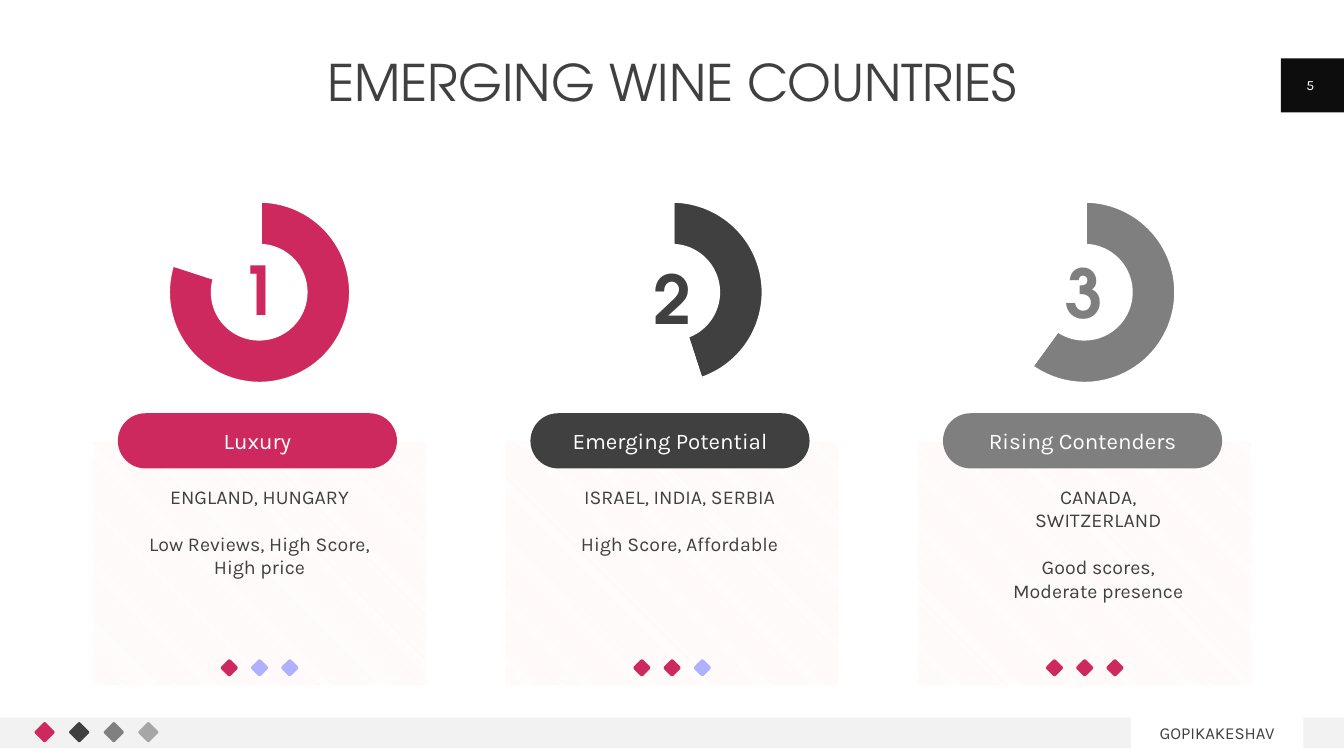
from lxml.etree import SubElement
from pptx import Presentation
from pptx.chart.data import CategoryChartData
from pptx.dml.color import RGBColor
from pptx.enum.chart import XL_CHART_TYPE
from pptx.enum.dml import MSO_PATTERN
from pptx.enum.shapes import MSO_SHAPE
from pptx.enum.text import MSO_ANCHOR, PP_ALIGN
from pptx.oxml.ns import qn
from pptx.util import Pt

BODY_FONT, HEAD_FONT = "Karla", "TeX Gyre Adventor"
CRIMSON, CHARCOAL, GRAY, LAVENDER = "CE295E", "404040", "7F7F7F", "B0B0FF"
WHITE, BAR, BLACK = "FFFFFF", "F2F2F2", "0D0D0D"


def color(value):
    """Turn a hex string into a colour."""
    return RGBColor.from_string(value)


def points(box):
    """Turn a left, top, width, height box into lengths."""
    return [Pt(length) for length in box]


def inside(box, left, top, width, height):
    """Place a part relative to the corner of a box."""
    return box[0] + left, box[1] + top, width, height


def add_block(page, box, fill, kind=MSO_SHAPE.RECTANGLE, corner=None):
    """Draw a plain filled shape."""
    block = page.shapes.add_shape(kind, *points(box))
    block.shadow.inherit = False
    block.fill.solid()
    block.fill.fore_color.rgb = color(fill)
    block.line.fill.background()
    if corner is not None:
        block.adjustments[0] = corner
    return block


def add_diamonds(page, box, fills, pitch, corner):
    """Draw a row of rounded diamonds, the first one in the given box."""
    for index, fill in enumerate(fills):
        place = inside(box, index * pitch, 0, box[2], box[3])
        diamond = add_block(page, place, fill, MSO_SHAPE.ROUNDED_RECTANGLE, corner)
        diamond.rotation = 315


def write(frame, lines, size, ink, font=BODY_FONT, bold=False,
          anchor=MSO_ANCHOR.MIDDLE, inset=True, gap=0, spacing=None):
    """Fill a text frame with centred paragraphs."""
    frame.word_wrap = True
    frame.vertical_anchor = anchor
    if not inset:
        frame.margin_left = frame.margin_right = 0
        frame.margin_top = frame.margin_bottom = 0
    for index, line in enumerate(lines):
        para = frame.add_paragraph() if index else frame.paragraphs[0]
        para.alignment = PP_ALIGN.CENTER
        if index:
            para.space_before = Pt(gap)
        if spacing:
            para.line_spacing = spacing
        span = para.add_run()
        span.text = line
        span.font.name = font
        span.font.size = Pt(size)
        span.font.bold = bold
        span.font.color.rgb = color(ink)


def add_text(page, box, lines, size, ink, **style):
    """Add a text box and write in it."""
    write(page.shapes.add_textbox(*points(box)).text_frame, lines, size, ink, **style)


def add_pie(page, box, share, fill):
    """Draw a pie whose remainder is white."""
    data = CategoryChartData()
    data.categories = ["1", "2"]
    data.add_series("Series 1", (share, 100 - share))
    chart = page.shapes.add_chart(XL_CHART_TYPE.PIE, *points(box), data).chart
    chart.has_legend = False
    chart.has_title = False
    chart.font.name = BODY_FONT
    chart.font.size = Pt(10)
    chart.font.color.rgb = color("000000")
    plot = chart.plots[0]
    plot.vary_by_categories = False
    for index, slice_fill in enumerate((fill, WHITE)):
        piece = plot.series[0].points[index].format
        piece.fill.solid()
        piece.fill.fore_color.rgb = color(slice_fill)
        piece.line.color.rgb = color(WHITE)
        piece.line.width = Pt(3.25)
    area = chart.element.find(".//" + qn("c:plotArea"))
    for layout in area.findall(qn("c:layout")):
        area.remove(layout)
    layout = SubElement(area, qn("c:layout"))
    area.insert(0, layout)
    manual = SubElement(layout, qn("c:manualLayout"))
    settings = {"layoutTarget": "inner", "xMode": "edge", "yMode": "edge",
                "x": 0.095, "y": 0.065, "w": 0.81, "h": 0.87}
    for name, value in settings.items():
        SubElement(manual, qn("c:" + name)).set("val", str(value))


def add_card(page, box, number, number_top, share, fill, label, lines, text_width, rating):
    """Draw one country group: ring, label, description and rating."""
    panel = add_block(page, inside(box, 0, 182.2, box[2], box[3] - 182.2), WHITE)
    panel.fill.patterned()
    panel.fill.pattern = MSO_PATTERN.LIGHT_DOWNWARD_DIAGONAL
    panel.fill.fore_color.rgb = color("FFE6E6")
    panel.fill.back_color.rgb = color(WHITE)
    add_pie(page, inside(box, 38.2, 0, 162, 151.2), share, fill)
    add_block(page, inside(box, 84.4, 41, 69.1, 69.1), WHITE, MSO_SHAPE.OVAL)
    pill = add_block(page, inside(box, 18, 162, 199.4, 39.4), fill,
                     MSO_SHAPE.ROUNDED_RECTANGLE, 0.5)
    write(pill.text_frame, [label], 16, WHITE)
    add_text(page, inside(box, 200.2 - text_width, 213.1, text_width, 68), lines, 14,
             CHARCOAL, anchor=MSO_ANCHOR.TOP, inset=False, gap=16.5)
    dots = [CRIMSON] * rating + [LAVENDER] * (3 - rating)
    add_diamonds(page, inside(box, 92.9, 339.1, 9.4, 9.4), dots, 21.6, 0.167)
    add_text(page, inside(box, 74.9, number_top, 88.6, 58.3), [number], 48, fill,
             font=HEAD_FONT, bold=True, inset=False)


def add_footer(page, box):
    """Draw the bottom bar with its diamonds and author."""
    add_block(page, inside(box, 0, 0, 807.8, box[3]), BAR)
    add_block(page, inside(box, 931, 0, box[2] - 931, box[3]), BAR)
    add_diamonds(page, inside(box, 26.5, 5, 10.8, 10.8),
                 [CRIMSON, CHARCOAL, "808080", "A6A6A6"], 24.7, 0.11)
    add_text(page, inside(box, 807.8, 0, 123.2, box[3]), ["GOPIKAKESHAV"], 12, CHARCOAL)


def add_header(page, box):
    """Draw the title and the page number tag."""
    add_text(page, inside(box, 66.2, 0, 828, box[3]), ["EMERGING WINE COUNTRIES"], 36,
             CHARCOAL, font=HEAD_FONT, anchor=MSO_ANCHOR.TOP, inset=False, spacing=0.9)
    add_block(page, inside(box, 915, 0, box[2] - 915, 38.7), BLACK)
    add_text(page, inside(box, 919.4, 4.5, 33.1, 28.8), ["5"], 10, WHITE)


def main():
    """Build the slide and save it."""
    deck = Presentation()
    deck.slide_width, deck.slide_height = Pt(960), Pt(540)
    page = deck.slides.add_slide(deck.slide_layouts[6])
    add_footer(page, (0, 512.6, 960, 21.6 + 0.2))
    add_header(page, (0, 41.6, 960, 39.6))
    cards = [
        ("1", 43.9, 80, CRIMSON, "Luxury",
         ["ENGLAND, HUNGARY", "Low Reviews, High Score, High price"], 162, 1),
        ("2", 50.4, 45, CHARCOAL, "Emerging Potential",
         ["ISRAEL, INDIA, SERBIA", "High Score, Affordable"], 151.2, 2),
        ("3", 46.1, 60, GRAY, "Rising Contenders",
         ["CANADA, SWITZERLAND", "Good scores, Moderate presence"], 142.6, 3),
    ]
    for index, card in enumerate(cards):
        add_card(page, (66.2 + index * 294.7, 133.2, 238.3, 356.4), *card)
    deck.save("out.pptx")


if __name__ == "__main__":
    main()
